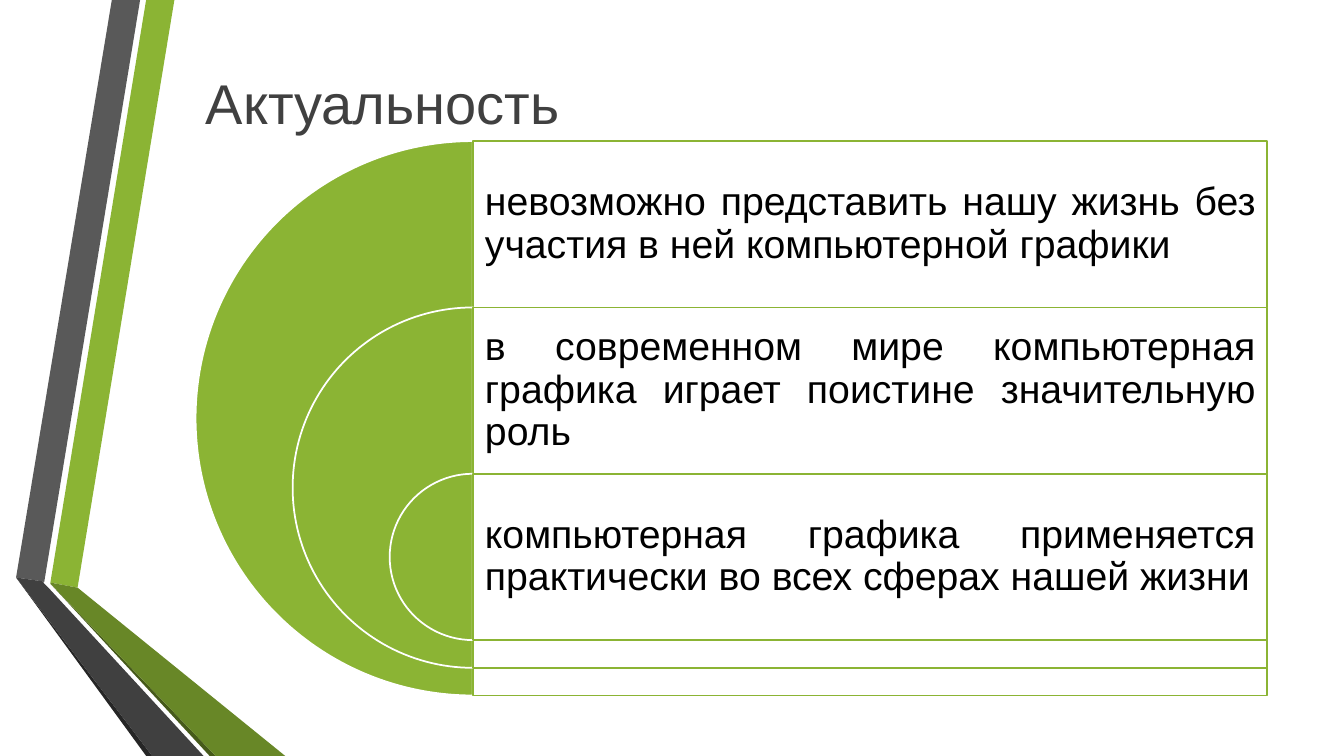
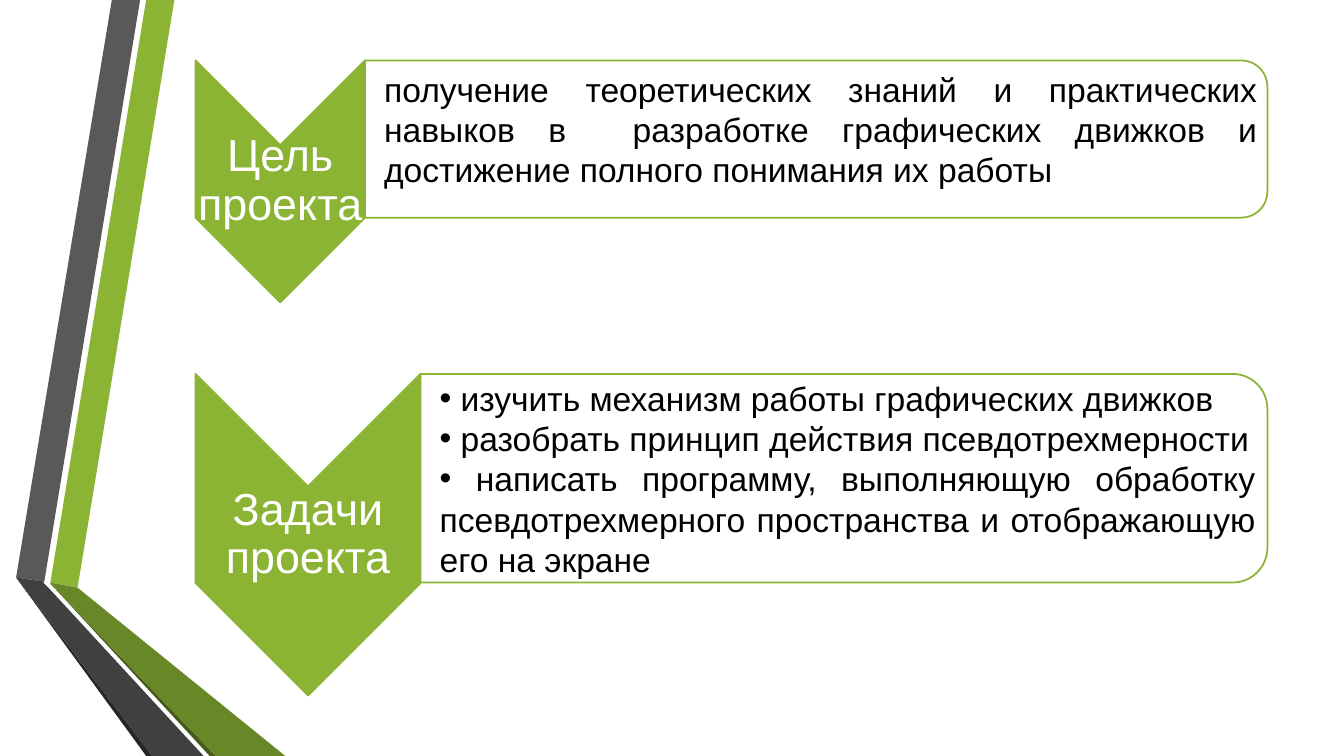
from lxml import etree
from pptx import Presentation
from pptx.dml.color import RGBColor
from pptx.enum.shapes import MSO_SHAPE
from pptx.enum.text import MSO_ANCHOR, MSO_AUTO_SIZE, PP_ALIGN
from pptx.oxml.ns import qn
from pptx.util import Pt

PX = 9144  # 100 px to the inch
SLIDE_WIDTH, SLIDE_HEIGHT = 1333, 750

PIE, RECTANGLE = MSO_SHAPE.PIE, MSO_SHAPE.RECTANGLE
CHEVRON, ROUND_TOP = MSO_SHAPE.CHEVRON, MSO_SHAPE.ROUND_2_SAME_RECTANGLE
LEFT, CENTER, JUSTIFY = PP_ALIGN.LEFT, PP_ALIGN.CENTER, PP_ALIGN.JUSTIFY
TOP, MIDDLE = MSO_ANCHOR.TOP, MSO_ANCHOR.MIDDLE
NO_AUTOFIT = MSO_AUTO_SIZE.NONE

FONT = "Arial"
GREEN, WHITE, BLACK, TITLE_GRAY = "8BB434", "FFFFFF", "000000", "404040"
CONTENT_LEFT, CONTENT_RIGHT = 194, 1257
PANEL_ALPHA = 90

# Folded ribbons on the left edge, from back to front
RIBBONS = [
    (GREEN, [(50, 578), (77, 583), (173, 0), (145, 0)]),
    ("595959", [(139, 0), (111, 0), (16, 573), (44, 577)]),
    ("262626", [(16, 573), (145, 750), (151, 750)]),
    ("465A1A", [(50, 579), (208, 750), (214, 750)]),
    ("688727", [(50, 579), (214, 750), (283, 750), (77, 583), (50, 578)]),
    (TITLE_GRAY, [(202, 750), (48, 583), (43, 578), (44, 577), (16, 573),
                  (151, 750)]),
]

REASONS = [
    "невозможно представить нашу жизнь без участия в ней компьютерной графики",
    "в современном мире компьютерная графика играет поистине значительную роль",
    "компьютерная графика применяется практически во всех сферах нашей жизни",
]
GOAL = ("получение теоретических знаний и практических навыков в  разработке "
        "графических движков и достижение полного понимания их работы")
TASKS = [
    " изучить механизм работы графических движков",
    " разобрать принцип действия псевдотрехмерности",
    " написать программу, выполняющую обработку псевдотрехмерного "
    "пространства и отображающую его на экране",
]


def color(hex_value):
    return RGBColor.from_string(hex_value)


def apply(target, formats):
    for name, value in formats.items():
        setattr(target, name, value)


def box(left, top, width, height):
    names = ("left", "top", "width", "height")
    return {name: round(value * PX)
            for name, value in zip(names, (left, top, width, height))}


def paint(shape, fill, line=None, alpha=None):
    shape.shadow.inherit = False
    shape.fill.solid()
    shape.fill.fore_color.rgb = color(fill)
    if alpha:
        solid = shape.element.spPr.find(qn("a:solidFill"))
        etree.SubElement(solid[0], qn("a:alpha"), val=str(alpha * 1000))
    if line:
        shape.line.color.rgb = color(line)
        shape.line.width = Pt(1.25)
    else:
        shape.line.fill.background()


def add_shape(slide, kind, area, fill, line, alpha=None):
    shape = slide.shapes.add_shape(kind, *box(*area).values())
    paint(shape, fill, line, alpha)
    return shape


def add_turned_shape(slide, kind, area, fill, line, alpha=None):
    """Shape turned by 90 degrees that fills the given area once turned."""
    left, top, width, height = area
    shift = (width - height) / 2
    frame = (left + shift, top - shift, height, width)
    add_shape(slide, kind, frame, fill, line, alpha).rotation = 90


def add_bullet(paragraph):
    properties = paragraph._p.get_or_add_pPr()
    apply_indent = {"marL": "0", "indent": "0"}
    for name, value in apply_indent.items():
        properties.set(name, value)
    etree.SubElement(properties, qn("a:buChar"), char="•")


def write(holder, lines, size, ink, align, spacing=1.0, anchor=MIDDLE,
          insets=(10, 5, 10, 5), bulleted=False):
    frame = holder.text_frame
    left, top, right, bottom = insets
    apply(frame, {
        "word_wrap": True, "auto_size": NO_AUTOFIT, "vertical_anchor": anchor,
        "margin_left": left * PX, "margin_top": top * PX,
        "margin_right": right * PX, "margin_bottom": bottom * PX,
    })
    for index, line in enumerate(lines):
        paragraph = frame.add_paragraph() if index else frame.paragraphs[0]
        if bulleted:
            add_bullet(paragraph)
        apply(paragraph, {"alignment": align, "line_spacing": spacing,
                          "space_before": Pt(0)})
        run = paragraph.add_run()
        run.text = line
        apply(run.font, {"name": FONT, "size": Pt(size)})
        run.font.color.rgb = color(ink)


def add_text(slide, area, *args, **formats):
    write(slide.shapes.add_textbox(*box(*area).values()), *args, **formats)


def add_ribbons(master, slide):
    """Draw the ribbons and move them to the master, for all slides."""
    for number, (fill, points) in enumerate(RIBBONS, start=101):
        builder = slide.shapes.build_freeform(*points[0], scale=PX)
        builder.add_line_segments(points[1:], close=True)
        ribbon = builder.convert_to_shape()
        paint(ribbon, fill)
        ribbon.element.nvSpPr.cNvPr.set("id", str(number))
        master.shapes.element.append(ribbon.element)


def fill_relevance(slide):
    title = slide.shapes.title
    apply(title, box(CONTENT_LEFT, 61, 373, 80))
    write(title, ["Актуальность"], 40, TITLE_GRAY, LEFT)

    # Nested half discs, each with a row to its right
    axis, first_top, row_height, largest = 469, 140, 165, 550
    step = (largest - row_height) / (len(REASONS) - 1)
    row_width = CONTENT_RIGHT - axis
    for index, reason in enumerate(REASONS):
        top = first_top + index * row_height
        diameter = largest - index * step
        disc = add_shape(slide, PIE,
                         (axis - diameter / 2, top, diameter, diameter),
                         GREEN, WHITE)
        disc.adjustments[0], disc.adjustments[1] = 54, 162  # left half
        add_shape(slide, RECTANGLE, (axis, top, row_width, diameter),
                  WHITE, GREEN, PANEL_ALPHA)
        add_text(slide, (axis, top, row_width, row_height), [reason], 28,
                 BLACK, JUSTIFY, spacing=0.9, insets=(12, 12, 12, 12))


def add_section(slide, label, top, width, height, panel_height):
    """Chevron with a label and a panel beside it; returns the text area."""
    add_turned_shape(slide, CHEVRON, (CONTENT_LEFT, top, width, height),
                     GREEN, GREEN)
    add_text(slide, (CONTENT_LEFT, top + width / 2, width, height - width),
             [label], 32, WHITE, CENTER, spacing=0.9, insets=(2, 2, 2, 2))
    left = CONTENT_LEFT + width
    panel_width = CONTENT_RIGHT - left
    add_turned_shape(slide, ROUND_TOP, (left, top, panel_width, panel_height),
                     WHITE, GREEN, PANEL_ALPHA)
    inset = round(panel_height * 0.05)
    return left, top + inset, panel_width - inset, panel_height - 2 * inset


def fill_goal_and_tasks(slide):
    title, task_list = slide.placeholders
    title.element.getparent().remove(title.element)

    goal_area = add_section(slide, "Цель проекта", 60, 168, 240, 156)
    add_text(slide, goal_area, [GOAL], 24, BLACK, JUSTIFY, anchor=TOP,
             insets=(19, 0, 2, 2))

    task_area = add_section(slide, "Задачи проекта", 371, 223, 319, 207)
    apply(task_list, box(*task_area))
    write(task_list, TASKS, 24, BLACK, JUSTIFY, insets=(19, 2, 2, 2),
          bulleted=True)
    slide.shapes.element.append(task_list.element)  # in front of its panel


def main():
    deck = Presentation()
    apply(deck, {"slide_width": SLIDE_WIDTH * PX,
                 "slide_height": SLIDE_HEIGHT * PX})
    relevance = deck.slides.add_slide(deck.slide_layouts.get_by_name("Title Only"))
    add_ribbons(deck.slide_master, relevance)
    fill_relevance(relevance)
    fill_goal_and_tasks(
        deck.slides.add_slide(deck.slide_layouts.get_by_name("Title and Content")))
    deck.save("out.pptx")


if __name__ == "__main__":
    main()
